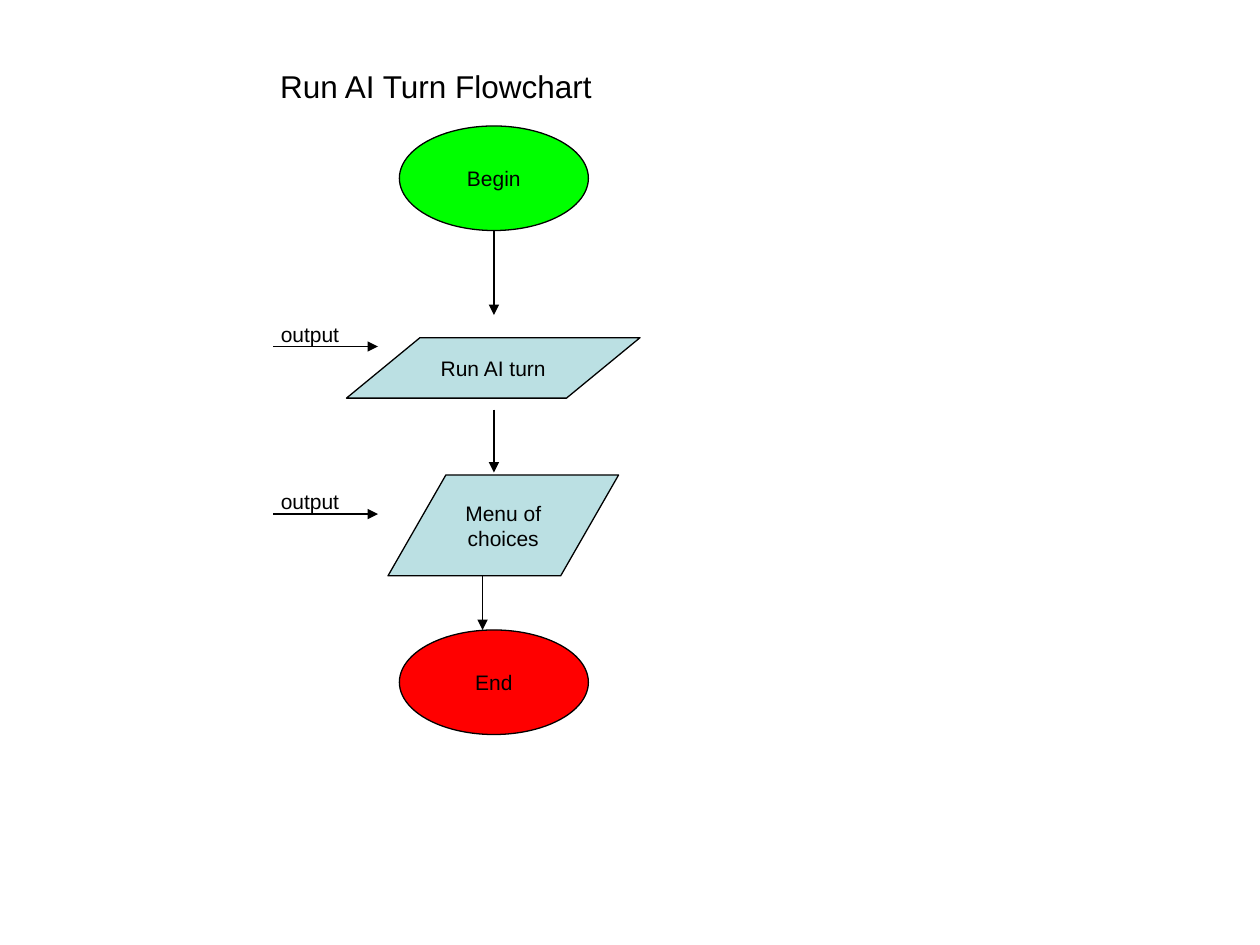
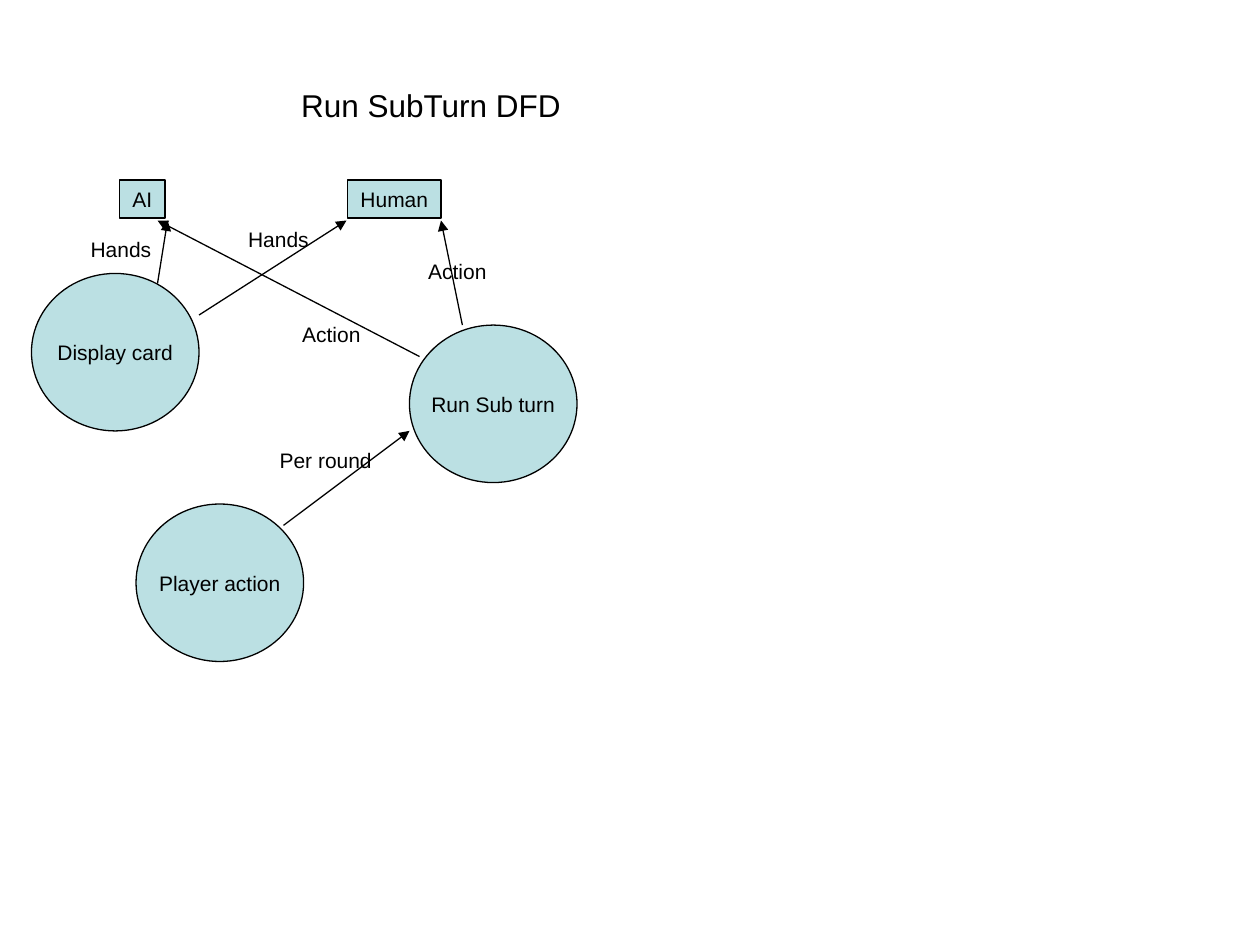
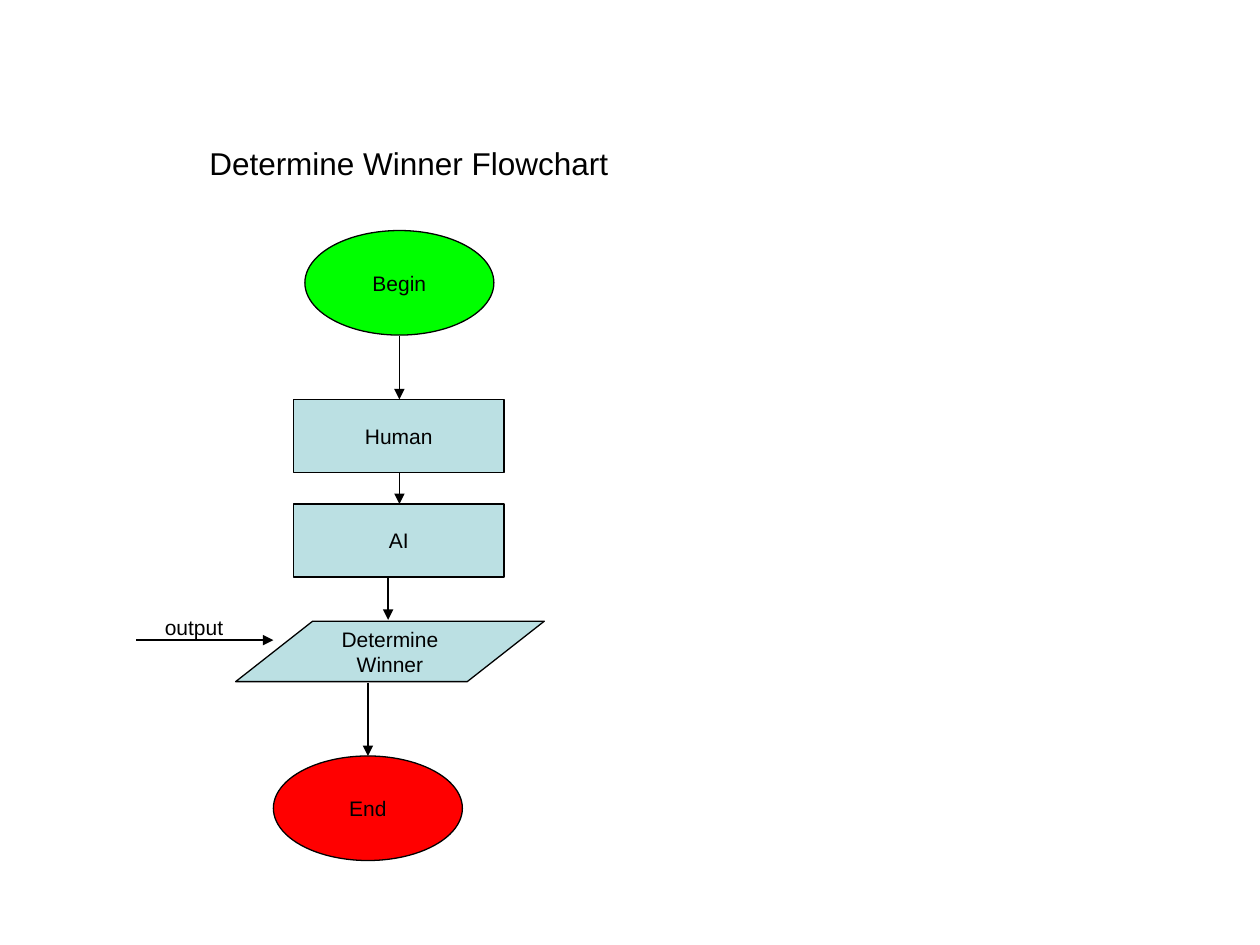
from dataclasses import dataclass
from typing import Any

from lxml import etree
from pptx import Presentation
from pptx import util as u
from pptx.dml import color
from pptx.enum import shapes, text
from pptx.oxml import ns

HUES = {"ink": "000000", "step": "BBE0E3", "go": "00FF00", "stop": "FF0000"}
FRAME = {
    "margin_left": u.Inches(0.1),
    "margin_right": u.Inches(0.1),
    "margin_top": u.Inches(0.05),
    "margin_bottom": u.Inches(0.05),
    "auto_size": text.MSO_AUTO_SIZE.NONE,
}
KIND = shapes.MSO_SHAPE
OVAL = (1.5, 0.83)
ROUND = (1.33, 1.25)
STEP = (1.67, 0.58)


def rgb(hue):
    """Return the named colour."""
    return color.RGBColor.from_string(HUES[hue])


def put(item, values):
    """Set each attribute of an item from a dict."""
    for key, value in values.items():
        setattr(item, key, value)


def write(shape, words, size=12, wrap=True, anchor=text.MSO_ANCHOR.MIDDLE):
    """Fill a shape with one centred line of words."""
    frame = shape.text_frame
    put(frame, {**FRAME, "word_wrap": wrap, "vertical_anchor": anchor})
    para = frame.paragraphs[0]
    para.alignment = text.PP_ALIGN.CENTER
    run = para.add_run()
    run.text = words
    put(run.font, {"name": "Arial", "size": u.Pt(size)})
    run.font.color.rgb = rgb("ink")


def edge(line):
    """Give a line the common ink and width."""
    line.color.rgb = rgb("ink")
    line.width = u.Pt(0.75)


@dataclass
class Board:
    """A diagram area whose parts are placed from its top left corner."""

    slide: Any
    left: float
    top: float

    def spot(self, x, y):
        """Turn a place on the board into slide lengths."""
        return u.Inches(self.left + x), u.Inches(self.top + y)

    def node(self, words, x, y, size, kind, hue="step", slant=None):
        """Draw an outlined shape with its words."""
        shape = self.slide.shapes.add_shape(
            kind, *self.spot(x, y), *map(u.Inches, size))
        shape.shadow.inherit = False
        shape.fill.solid()
        shape.fill.fore_color.rgb = rgb(hue)
        edge(shape.line)
        if slant:
            shape.adjustments[0] = slant
        write(shape, words, wrap=slant is not None)

    def ends(self, begin, end):
        """Draw the begin and end ovals."""
        self.node("Begin", *begin, OVAL, KIND.FLOWCHART_CONNECTOR, "go")
        self.node("End", *end, OVAL, KIND.FLOWCHART_CONNECTOR, "stop")

    def link(self, x1, y1, x2, y2):
        """Draw an arrow between two places."""
        line = self.slide.shapes.add_connector(
            shapes.MSO_CONNECTOR.STRAIGHT, *self.spot(x1, y1), *self.spot(x2, y2))
        edge(line.line)
        etree.SubElement(line.line._get_or_add_ln(), ns.qn("a:tailEnd"), type="triangle")
        etree.SubElement(line._element.spPr, ns.qn("a:effectLst"))

    def label(self, words, x, y, wide=0.92):
        """Write a label beside an arrow."""
        box = self.slide.shapes.add_textbox(
            *self.spot(x, y), u.Inches(wide), u.Inches(0.3))
        write(box, words, anchor=text.MSO_ANCHOR.TOP)

    def feed(self, y, start, stop):
        """Draw a level output arrow with its label above."""
        self.link(start, y, stop, y)
        self.label("output", 0, y - 0.25)


def turn(board):
    """Draw the AI turn flowchart."""
    for x, y1, y2 in [(1.92, 0.83, 1.5), (1.92, 2.25, 2.75), (1.83, 3.5, 4)]:
        board.link(x, y1, x, y2)
    for y in (1.75, 3.08):
        board.feed(y, 0.17, 1)
    board.node("Menu of choices", 1.08, 2.77, (1.83, 0.8), KIND.PARALLELOGRAM, slant=0.574)
    board.node("Run AI turn", 0.75, 1.68, (2.33, 0.48), KIND.PARALLELOGRAM, slant=1.216)
    board.ends((1.17, 0), (1.17, 4))


def flow(board):
    """Draw the data flow of a sub turn."""
    for words, x, y in [("Player action", 0.83, 2.57), ("Display card", 0, 0.74),
                        ("Run Sub turn", 3, 1.15)]:
        board.node(words, x, y, ROUND, KIND.FLOWCHART_CONNECTOR)
    for words, x, wide in [("AI", 0.7, 0.36), ("Human", 2.51, 0.74)]:
        board.node(words, x, 0, (wide, 0.3), KIND.RECTANGLE)
    for ends in [(1, 0.82, 1.08, 0.32), (1.33, 1.07, 2.5, 0.32),
                 (3.42, 1.15, 3.25, 0.32), (3.08, 1.4, 1, 0.32),
                 (2, 2.74, 3, 1.99)]:
        board.link(*ends)
    for words, x, y in [("Hands", 0.25, 0.4), ("Hands", 1.5, 0.32),
                        ("Action", 1.92, 1.07), ("Action", 2.92, 0.57)]:
        board.label(words, x, y)
    board.label("Per round", 1.75, 2.07, 1.17)


def winner(board):
    """Draw the flowchart that finds the winner."""
    board.ends((1.34, 0), (1.09, 4.17))
    for words, y in [("Human", 1.34), ("AI", 2.17)]:
        board.node(words, 1.25, y, STEP, KIND.RECTANGLE)
    board.node("Determine Winner", 0.79, 3.1, (2.45, 0.48), KIND.PARALLELOGRAM, slant=1.274)
    for x, y1, y2 in [(2.09, 0.84, 1.34), (2.09, 1.92, 2.17),
                      (2, 2.75, 3.09), (1.84, 3.59, 4.17)]:
        board.link(x, y1, x, y2)
    board.feed(3.25, 0, 1.09)


def page(deck, words, box):
    """Add a slide with its title in the given box."""
    slide = deck.slides.add_slide(deck.slide_layouts[5])
    title = slide.shapes.title
    put(title, dict(zip(("left", "top", "width", "height"), map(u.Inches, box))))
    write(title, words, 18)
    return slide


def main():
    """Build and save the deck."""
    deck = Presentation()
    put(deck, {"slide_width": u.Inches(10), "slide_height": u.Inches(7.5)})
    for words, box, draw, corner in [
        ("Run AI Turn Flowchart", (0.92, 0.25, 5.08, 0.87), turn, (2, 1)),
        ("Run SubTurn DFD", (1.17, 0.33, 4.5, 1), flow, (0.25, 1.43)),
        ("Determine Winner Flowchart", (0.58, 0.75, 5.33, 1.08), winner, (1.08, 1.83)),
    ]:
        draw(Board(page(deck, words, box), *corner))
    deck.save("out.pptx")


if __name__ == "__main__":
    main()
